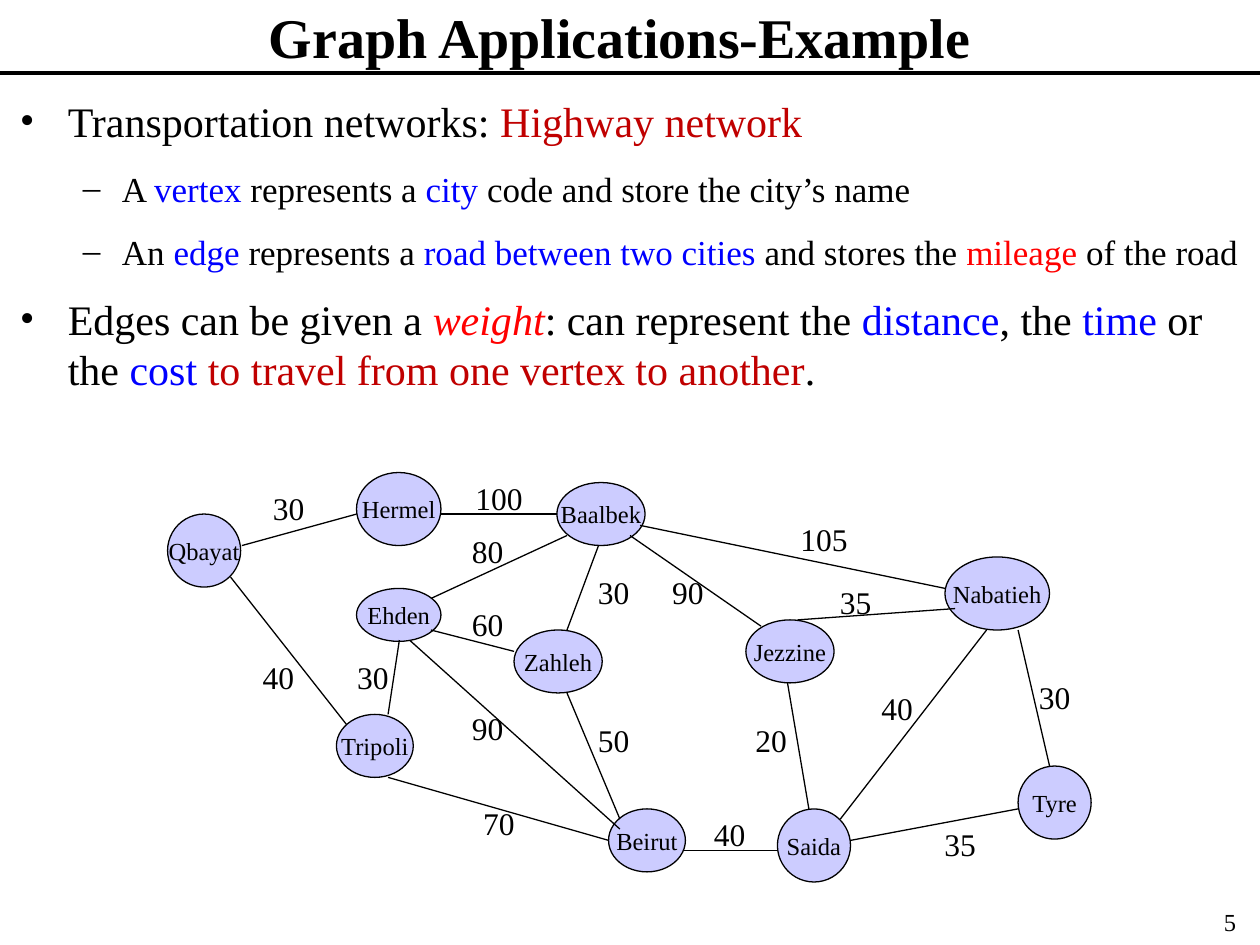
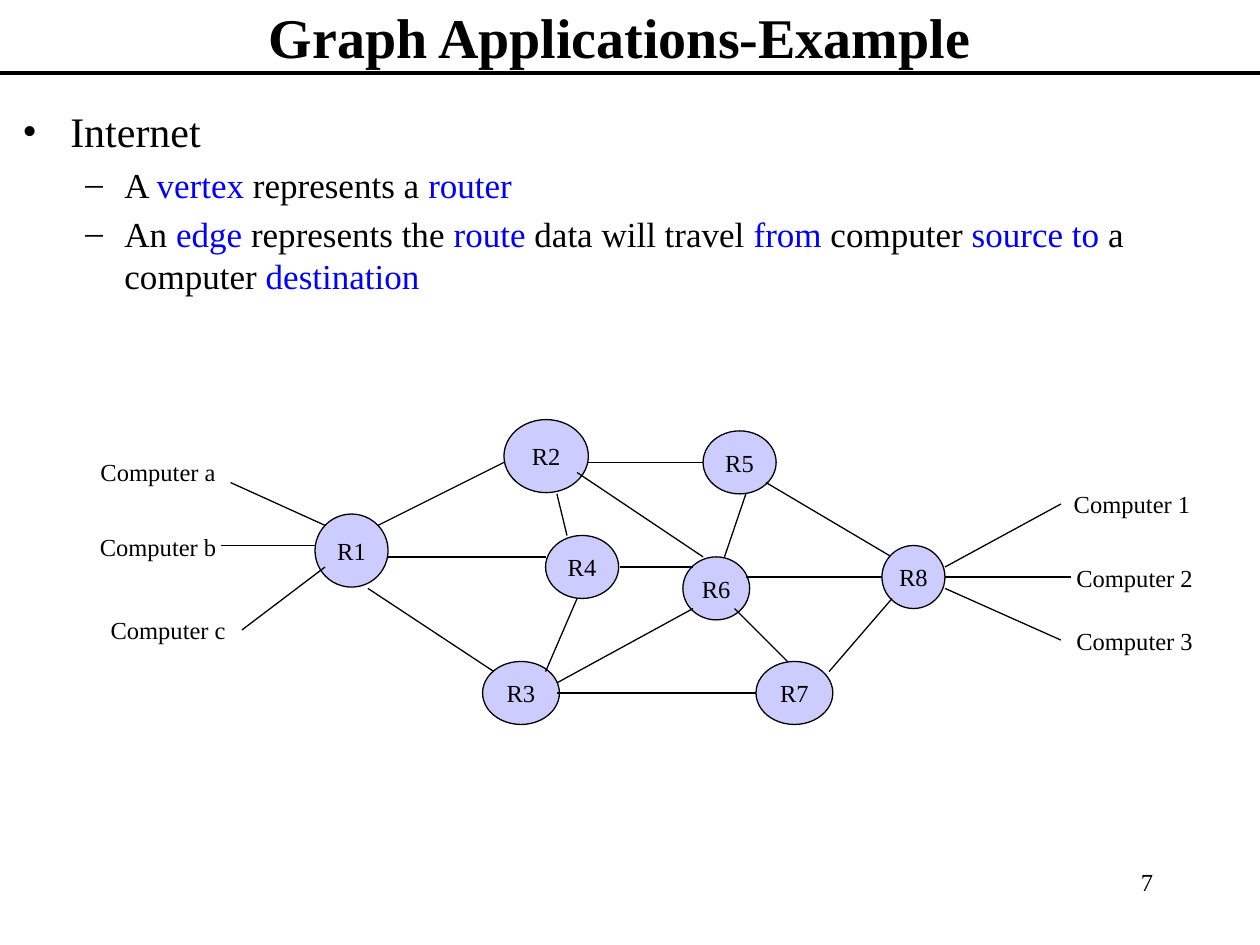
"""Build two slides on graph applications: a highway network and the Internet."""
from typing import NamedTuple

from lxml import etree
from pptx import Presentation
from pptx.dml.color import RGBColor
from pptx.enum.shapes import MSO_CONNECTOR, MSO_SHAPE
from pptx.enum.text import MSO_ANCHOR, PP_ALIGN
from pptx.oxml.ns import qn
from pptx.util import Inches, Pt

STRAIGHT = MSO_CONNECTOR.STRAIGHT
OVAL = MSO_SHAPE.OVAL
TOP, MIDDLE = MSO_ANCHOR.TOP, MSO_ANCHOR.MIDDLE
LEFT, CENTER, RIGHT = PP_ALIGN.LEFT, PP_ALIGN.CENTER, PP_ALIGN.RIGHT

BLACK = RGBColor(0x00, 0x00, 0x00)
BLUE = RGBColor(0x00, 0x00, 0xFF)
RED = RGBColor(0xFF, 0x00, 0x00)
DARK_RED = RGBColor(0xC0, 0x00, 0x00)
LAVENDER = RGBColor(0xCC, 0xCC, 0xFF)
FONT = "Times New Roman"
TITLE = "Graph Applications-Example"


class Box(NamedTuple):
    """Position and size in inches."""
    left: float
    top: float
    width: float
    height: float


class Run(NamedTuple):
    """A piece of text with its look."""
    text: str
    color: RGBColor = BLACK
    italic: bool = False


class Bullet(NamedTuple):
    """A bulleted paragraph on level 0 or 1."""
    level: int
    runs: list[Run]


class BulletStyle(NamedTuple):
    """Marker, text size and indents of a bullet level."""
    marker: str
    size: int
    margin: float
    hanging: float


class Node(NamedTuple):
    """A vertex of the graph."""
    name: str
    box: Box


class Edge(NamedTuple):
    """A line of the graph, from one point to another."""
    x1: float
    y1: float
    x2: float
    y2: float


class Label(NamedTuple):
    """A text beside the graph."""
    text: str
    left: float
    top: float


class GraphSlide(NamedTuple):
    """Everything that differs between the slides."""
    number: str
    number_box: Box
    body_box: Box
    space_before: int
    bullets: list[Bullet]
    nodes: list[Node]
    edges: list[Edge]
    labels: list[Label]
    label_width: float
    label_size: int


BULLET_STYLES = [BulletStyle("•", 24, 0.38, 0.38), BulletStyle("–", 20, 0.81, 0.31)]

HIGHWAYS = GraphSlide(
    number="5",
    number_box=Box(7.83, 7.15, 2.08, 0.35),
    body_box=Box(0.06, 0.71, 9.94, 2.08),
    space_before=12,
    bullets=[
        Bullet(0, [Run("Transportation networks: "), Run("Highway network", DARK_RED)]),
        Bullet(1, [Run("A "), Run("vertex", BLUE), Run(" represents a "), Run("city", BLUE),
                   Run(" code and store the city’s name")]),
        Bullet(1, [Run("An "), Run("edge", BLUE), Run(" represents a "),
                   Run("road between two cities", BLUE), Run(" and stores the "),
                   Run("mileage", RED), Run(" of the road")]),
        Bullet(0, [Run("Edges can be given a "), Run("weight", RED, True),
                   Run(": can represent the "), Run("distance", BLUE), Run(", the "),
                   Run("time", BLUE), Run(" or the "), Run("cost ", BLUE),
                   Run("to travel from one vertex to another", DARK_RED), Run(".")]),
    ],
    nodes=[
        Node("Beirut", Box(4.83, 6.42, 0.61, 0.5)),
        Node("Tripoli", Box(2.67, 5.67, 0.61, 0.5)),
        Node("Baalbek", Box(4.42, 3.83, 0.7, 0.5)),
        Node("Zahleh", Box(4.08, 5, 0.7, 0.5)),
        Node("Qbayat", Box(1.33, 4.08, 0.58, 0.58)),
        Node("Hermel", Box(2.83, 3.75, 0.67, 0.58)),
        Node("Saida", Box(6.17, 6.42, 0.58, 0.58)),
        Node("Nabatieh", Box(7.5, 4.42, 0.83, 0.58)),
        Node("Tyre", Box(8.08, 6.08, 0.58, 0.58)),
        Node("Jezzine", Box(5.92, 4.92, 0.7, 0.5)),
        Node("Ehden", Box(2.83, 4.67, 0.67, 0.42)),
    ],
    edges=[
        Edge(3.08, 6.17, 4.83, 6.67), Edge(1.83, 4.58, 2.75, 5.75),
        Edge(1.92, 4.33, 2.83, 4.08), Edge(3.5, 4.08, 4.42, 4.08),
        Edge(4.75, 4.33, 4.5, 5), Edge(4.5, 5.5, 4.92, 6.5),
        Edge(5.42, 6.75, 6.17, 6.75), Edge(5.08, 4.17, 7.5, 4.67),
        Edge(8.08, 5, 8.33, 6.08), Edge(6.75, 6.67, 8.08, 6.42),
        Edge(5, 4.25, 6.04, 4.97), Edge(6.25, 5.42, 6.42, 6.42),
        Edge(6.33, 4.92, 7.58, 4.83), Edge(6.67, 6.5, 7.83, 5),
        Edge(3.08, 5.67, 3.17, 5.08), Edge(3.42, 4.75, 4.5, 4.25),
        Edge(3.42, 5, 4.08, 5.17), Edge(3.25, 5.08, 4.92, 6.58),
    ],
    labels=[
        Label("40", 5.5, 6.42), Label("35", 7.33, 6.5), Label("30", 8.08, 5.33),
        Label("40", 6.83, 5.42), Label("105", 6.25, 4.08), Label("100", 3.67, 3.75),
        Label("30", 2, 3.83), Label("40", 1.92, 5.17), Label("30", 2.67, 5.17),
        Label("70", 3.67, 6.33), Label("90", 3.58, 5.58), Label("60", 3.58, 4.75),
        Label("80", 3.58, 4.17), Label("90", 5.17, 4.5), Label("20", 5.83, 5.67),
        Label("30", 4.58, 4.5), Label("50", 4.58, 5.67), Label("35", 6.5, 4.58),
    ],
    label_width=0.58,
    label_size=18,
)

INTERNET = GraphSlide(
    number="7",
    number_box=Box(7.17, 6.83, 2.08, 0.5),
    body_box=Box(0.08, 0.79, 9.5, 1.25),
    space_before=4,
    bullets=[
        Bullet(0, [Run("Internet")]),
        Bullet(1, [Run("A "), Run("vertex", BLUE), Run(" represents a "), Run("router", BLUE)]),
        Bullet(1, [Run("An "), Run("edge", BLUE), Run(" represents the "), Run("route", BLUE),
                   Run(" data will travel "), Run("from", BLUE), Run(" computer "),
                   Run("source to", BLUE), Run(" a computer "), Run("destination", BLUE)]),
    ],
    nodes=[
        Node("R1", Box(2.5, 4.08, 0.58, 0.58)),
        Node("R2", Box(4, 3.33, 0.67, 0.58)),
        Node("R3", Box(3.83, 5.25, 0.61, 0.5)),
        Node("R4", Box(4.33, 4.25, 0.58, 0.5)),
        Node("R5", Box(5.58, 3.42, 0.58, 0.5)),
        Node("R6", Box(5.42, 4.42, 0.53, 0.5)),
        Node("R7", Box(6, 5.25, 0.61, 0.5)),
        Node("R8", Box(7, 4.33, 0.5, 0.5)),
    ],
    edges=[
        Edge(4.42, 5.5, 6, 5.5), Edge(2.92, 4.67, 3.92, 5.33),
        Edge(3, 4.17, 4, 3.67), Edge(4.67, 3.67, 5.58, 3.67),
        Edge(5.92, 3.92, 5.75, 4.42), Edge(5.83, 4.83, 6.25, 5.25),
        Edge(1.75, 4.33, 2.5, 4.33), Edge(7.5, 4.5, 8.42, 4),
        Edge(6.08, 3.83, 7.06, 4.41), Edge(7.5, 4.67, 8.42, 5.08),
        Edge(7.5, 4.58, 8.5, 4.58), Edge(1.92, 5, 2.58, 4.5),
        Edge(4.33, 4.42, 3.08, 4.42), Edge(1.83, 3.83, 2.58, 4.17),
        Edge(4.92, 4.5, 5.5, 4.5), Edge(6.58, 5.33, 7.08, 4.75),
        Edge(4.33, 5.33, 4.58, 4.75), Edge(4.42, 3.92, 4.5, 4.25),
        Edge(4.58, 3.75, 5.58, 4.42), Edge(5.92, 4.58, 7, 4.58),
        Edge(4.42, 5.42, 5.5, 4.83),
    ],
    labels=[
        Label("Computer a", 0.67, 3.58), Label("Computer b", 0.67, 4.17),
        Label("Computer c", 0.75, 4.83), Label("Computer 1", 8.4, 3.83),
        Label("Computer 2", 8.42, 4.42), Label("Computer 3", 8.42, 4.92),
    ],
    label_width=1.17,
    label_size=14,
)


def format_run(run, size: int, color: RGBColor = BLACK, bold=False, italic=False) -> None:
    """Apply the shared font with the given look."""
    run.font.name = FONT
    run.font.size = Pt(size)
    run.font.color.rgb = color
    run.font.bold = bold
    run.font.italic = italic


def write_line(shape, text: str, size: int, align, anchor=TOP, bold=False, wrap=True) -> None:
    """Put one line of text into a shape."""
    frame = shape.text_frame
    frame.text = text
    frame.word_wrap = wrap
    frame.vertical_anchor = anchor
    paragraph = frame.paragraphs[0]
    paragraph.alignment = align
    format_run(paragraph.runs[0], size, bold=bold)


def add_text_box(slide, box: Box):
    """Add an empty text box."""
    return slide.shapes.add_textbox(*map(Inches, box))


def add_line(slide, edge: Edge, width: float = 0.75) -> None:
    """Draw a black line without a shadow."""
    line = slide.shapes.add_connector(STRAIGHT, *map(Inches, edge))
    line.line.color.rgb = BLACK
    line.line.width = Pt(width)
    etree.SubElement(line._element.spPr, qn("a:effectLst"))


def add_node(slide, node: Node) -> None:
    """Draw a named vertex."""
    shape = slide.shapes.add_shape(OVAL, *map(Inches, node.box))
    shape.shadow.inherit = False
    shape.fill.solid()
    shape.fill.fore_color.rgb = LAVENDER
    shape.line.color.rgb = BLACK
    shape.line.width = Pt(0.75)
    write_line(shape, node.name, 14, CENTER, MIDDLE, wrap=False)


def add_bullets(slide, content: GraphSlide) -> None:
    """Write the bulleted text."""
    frame = add_text_box(slide, content.body_box).text_frame
    frame.word_wrap = True
    for index, bullet in enumerate(content.bullets):
        style = BULLET_STYLES[bullet.level]
        paragraph = frame.add_paragraph() if index else frame.paragraphs[0]
        paragraph.alignment = LEFT
        paragraph.level = bullet.level
        if index:
            paragraph.space_before = Pt(content.space_before)
        properties = paragraph._p.get_or_add_pPr()
        properties.set("marL", str(Inches(style.margin)))
        properties.set("indent", str(-Inches(style.hanging)))
        etree.SubElement(properties, qn("a:buFont"), typeface=FONT)
        etree.SubElement(properties, qn("a:buChar"), char=style.marker)
        for piece in bullet.runs:
            run = paragraph.add_run()
            run.text = piece.text
            format_run(run, style.size, piece.color, italic=piece.italic)


def add_graph_slide(presentation, content: GraphSlide) -> None:
    """Add a slide with title, rule, bullets, graph and number."""
    slide = presentation.slides.add_slide(presentation.slide_layouts[6])
    write_line(add_text_box(slide, content.number_box), content.number, 14, RIGHT)
    write_line(add_text_box(slide, Box(0.67, 0, 8.5, 0.58)), TITLE, 32, CENTER, MIDDLE, bold=True)
    add_line(slide, Edge(0, 0.58, 10, 0.58), 2.25)
    add_bullets(slide, content)
    for node in content.nodes:
        add_node(slide, node)
    for edge in content.edges:
        add_line(slide, edge)
    for label in content.labels:
        box = Box(label.left, label.top, content.label_width, 0.4)
        write_line(add_text_box(slide, box), label.text, content.label_size, CENTER)


def main() -> None:
    """Build and save the presentation."""
    presentation = Presentation()
    presentation.slide_width = Inches(10)
    presentation.slide_height = Inches(7.5)
    for content in (HIGHWAYS, INTERNET):
        add_graph_slide(presentation, content)
    presentation.save("out.pptx")


if __name__ == "__main__":
    main()
